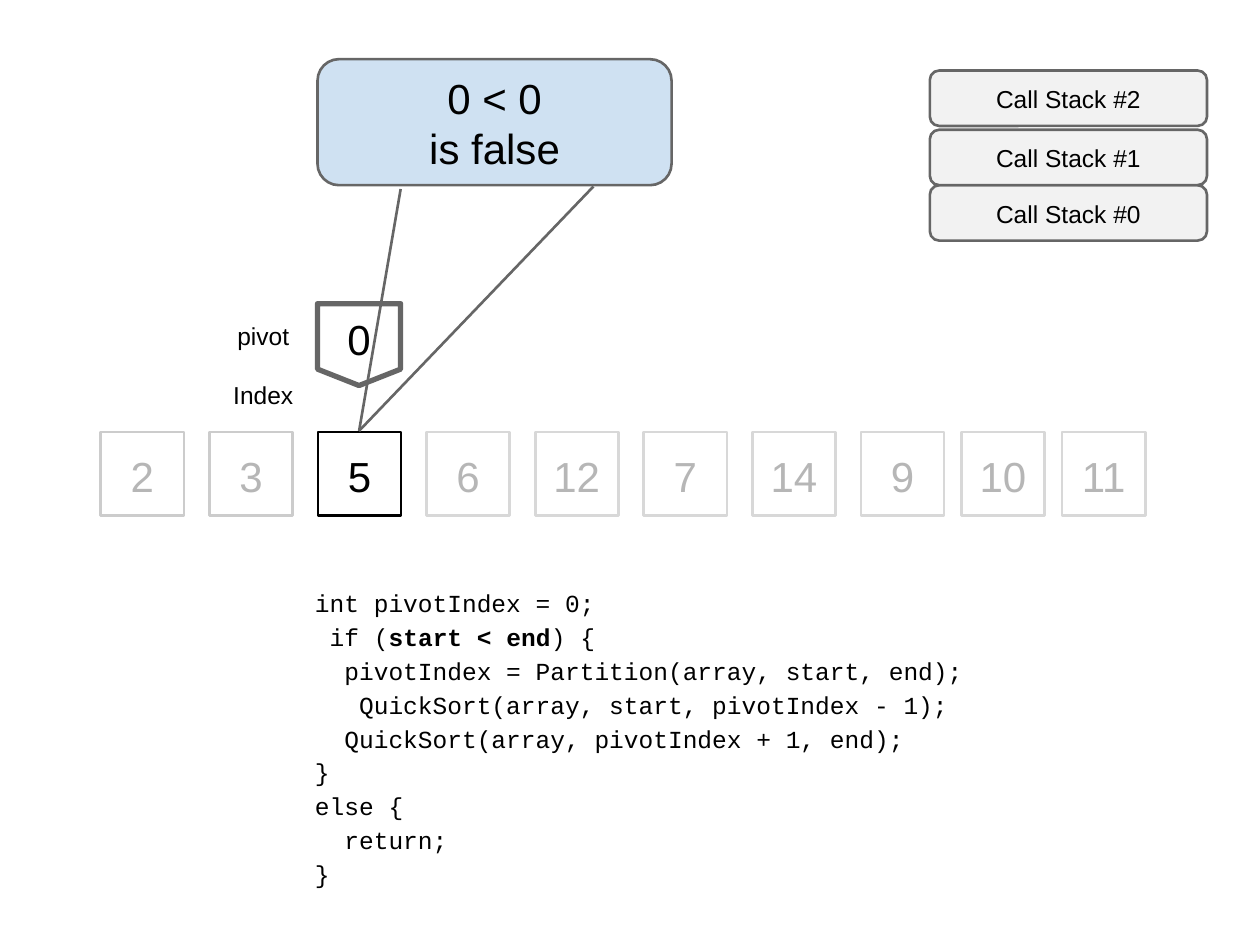
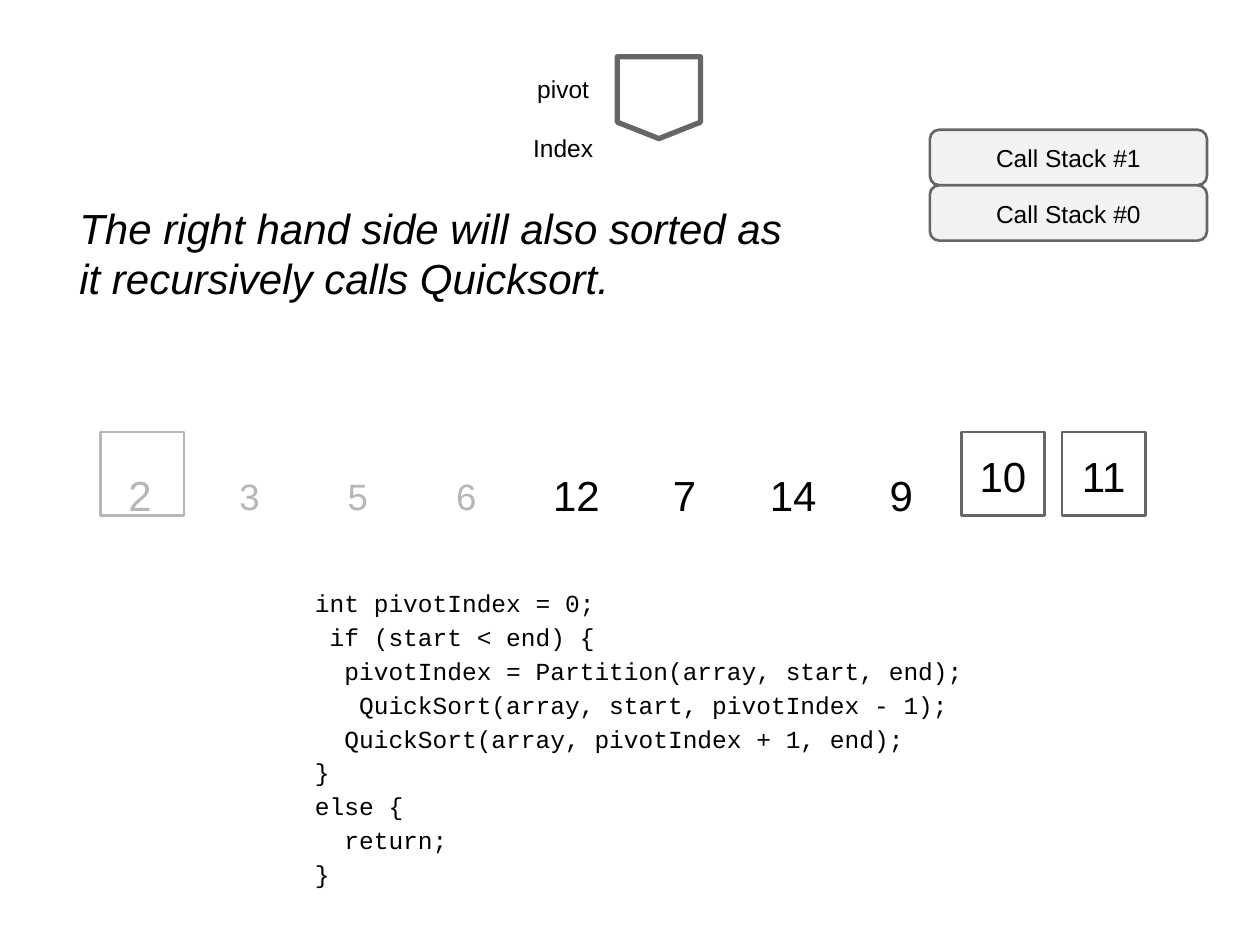
from dataclasses import dataclass
from pptx import Presentation
from pptx.dml.color import RGBColor as RGB
from pptx.enum.shapes import MSO_CONNECTOR as CONN, MSO_SHAPE as SHAPE
from pptx.enum.text import MSO_ANCHOR as ANCHOR, PP_ALIGN as ALIGN
from pptx.oxml.ns import qn
from pptx.util import Inches, Pt
from lxml import etree


@dataclass(frozen=True)
class Theme:
    ink: str = "000000"
    outline: str = "666666"
    faded_ink: str = "B6B6B6"
    sorted_line: str = "CCCCCC"
    faded_line: str = "D8D8D8"
    frame_fill: str = "F2F2F2"
    test_fill: str = "CFE1F2"
    sans: str = "Arial"
    mono: str = "Courier New"
    large: int = 24
    small: int = 14
    raised: int = 36


T = Theme()


def outline(sp, line, fill=None, weight=1.5):
    sp.shadow.inherit = False
    sp.line.color.rgb = RGB.from_string(line)
    sp.line.width = Pt(weight)
    if fill:
        sp.fill.solid()
        sp.fill.fore_color.rgb = RGB.from_string(fill)
    else:
        sp.fill.background()
    return sp


def write(sp, lines, size, color=T.ink, font=T.sans, align=ALIGN.CENTER,
          anchor=ANCHOR.MIDDLE, spacing=None, top=0.01, bottom=0):
    """Fill a shape with one paragraph a line; a line is a list of runs."""
    tf = sp.text_frame
    tf.word_wrap = True
    tf.vertical_anchor = anchor
    tf.margin_left = tf.margin_right = 0
    tf.margin_top, tf.margin_bottom = Inches(top), Inches(bottom)
    for i, runs in enumerate(lines):
        p = tf.paragraphs[0] if i == 0 else tf.add_paragraph()
        p.alignment = align
        if spacing:
            p.line_spacing = Pt(spacing)
        p.font.name, p.font.size = font, Pt(size)
        p.font.color.rgb = RGB.from_string(color)
        for text in runs:
            p.add_run().text = text
    return tf


CELL = 0.66
CELL_TOP = 3.43
CELL_LEFTS = [0.8 + 0.862 * i for i in range(8)] + [7.63, 8.43]
VALUES = ["2", "3", "5", "6", "12", "7", "14", "9", "10", "11"]
FRAME_TOPS = [1.47, 1.03, 0.56]
CODE = [
    ["int pivotIndex = 0;"],
    [" if (", "start < end", ") {"],
    ["  pivotIndex = Partition(array, start, end);"],
    ["   QuickSort(array, start, pivotIndex - 1);"],
    ["  QuickSort(array, pivotIndex + 1, end);"],
    ["}"],
    ["else {"],
    ["  return;"],
    ["}"],
]

# Cells are (index, line colour, text colour); None leaves the cell empty.
faded = [(i, T.sorted_line if i < 2 else T.faded_line, T.faded_ink)
         for i in range(10) if i != 2]
SLIDES = [
    dict(cells=faded + [(2, T.ink, T.ink)], frames=3, pin=(2.52, 2.41),
         pivot="0", bold_test=True),
    dict(cells=[(0, T.faded_ink, None), (8, T.outline, T.ink),
                (9, T.outline, T.ink)],
         frames=2, pin=(4.9, 0.45), pivot="", bold_test=False),
]

prs = Presentation()
prs.slide_width, prs.slide_height = Inches(10), Inches(7.5)

# Parts found on both slides
for spec_row in SLIDES:
    s = prs.slides.add_slide(prs.slide_layouts[6])

    for i, line, color in spec_row["cells"]:
        sp = s.shapes.add_shape(SHAPE.RECTANGLE, Inches(CELL_LEFTS[i]),
                                Inches(CELL_TOP), Inches(CELL), Inches(CELL))
        outline(sp, line)
        if color:
            write(sp, [[VALUES[i]]], T.large, color, top=0.03)

    sp = s.shapes.add_textbox(Inches(2.5), Inches(4.62), Inches(5.3), Inches(2.47))
    tf = write(sp, CODE, T.small, font=T.mono, align=ALIGN.LEFT,
               anchor=ANCHOR.TOP, spacing=19.4)
    if spec_row["bold_test"]:
        tf.paragraphs[1].runs[1].font.bold = True

    for n, top in enumerate(FRAME_TOPS[:spec_row["frames"]]):
        sp = s.shapes.add_shape(SHAPE.ROUNDED_RECTANGLE, Inches(7.38),
                                Inches(top), Inches(2.2), Inches(0.44))
        sp.adjustments[0] = 0.17
        outline(sp, T.outline, T.frame_fill)
        write(sp, [[f"Call Stack #{n}"]], T.small)

    x, y = spec_row["pin"]
    pin = s.shapes.build_freeform(Inches(x), Inches(y))
    pin.add_line_segments([(Inches(x + dx), Inches(y + dy)) for dx, dy in
                           [(0.66, 0), (0.66, 0.52), (0.33, 0.65), (0, 0.52)]])
    sp = outline(pin.convert_to_shape(), T.outline, weight=3)
    if spec_row["pivot"]:
        write(sp, [[spec_row["pivot"]]], T.large, bottom=0.1)

    sp = s.shapes.add_textbox(Inches(x - 0.73), Inches(y + 0.13),
                              Inches(0.6), Inches(0.7))
    tf = write(sp, [["pivot"], ["Index"]], T.small, anchor=ANCHOR.TOP)
    tf.paragraphs[1].space_before = Pt(16.5)

# Slide 1: the test that ends the recursion
s = prs.slides[0]
sp = s.shapes.add_shape(SHAPE.ROUNDED_RECTANGLE, Inches(2.52), Inches(0.47),
                        Inches(2.81), Inches(1))
sp.adjustments[0] = 0.17
outline(sp, T.outline, T.test_fill)
write(sp, [["0 < 0"], ["is false"]], T.large, spacing=28.6)

for x, y in [(3.18, 1.5), (4.71, 1.48)]:
    c = s.shapes.add_connector(CONN.STRAIGHT, Inches(x), Inches(y),
                               Inches(2.85), Inches(3.42))
    c.line.color.rgb = RGB.from_string(T.outline)
    c.line.width = Pt(1.5)
    etree.SubElement(c._element.spPr, qn("a:effectLst"))

# Slide 2: the unboxed values and the remark on the right hand side
s = prs.slides[1]
sp = s.shapes.add_textbox(Inches(1.02), Inches(3.55), Inches(6.47), Inches(0.43))
tf = write(sp, [[]], T.large, align=ALIGN.LEFT, anchor=ANCHOR.TOP)
p = tf.paragraphs[0]
tabs = etree.Element(qn("a:tabLst"))
for stop in [0.88, 1.74, 2.6, 3.37, 4.32, 5.09, 6.04]:
    etree.SubElement(tabs, qn("a:tab"), pos=str(Inches(stop)), algn="l")
p._p.get_or_add_pPr().insert(0, tabs)
for i, value in enumerate(VALUES[:8]):
    r = p.add_run()
    r.text = value if i == 7 else value + "\t"
    r.font.color.rgb = RGB.from_string(T.faded_ink if i < 4 else T.ink)
    if 1 <= i <= 3:
        r.font.size = Pt(T.raised)
        r.font._element.set("baseline", "2000")

sp = s.shapes.add_textbox(Inches(0.63), Inches(1.6), Inches(5.7), Inches(0.8))
tf = write(sp, [["The right hand side will also sorted as it recursively calls Quicksort."]],
           T.large, align=ALIGN.LEFT, anchor=ANCHOR.TOP, spacing=28.5)
tf.paragraphs[0].font.italic = True

prs.save("out.pptx")
